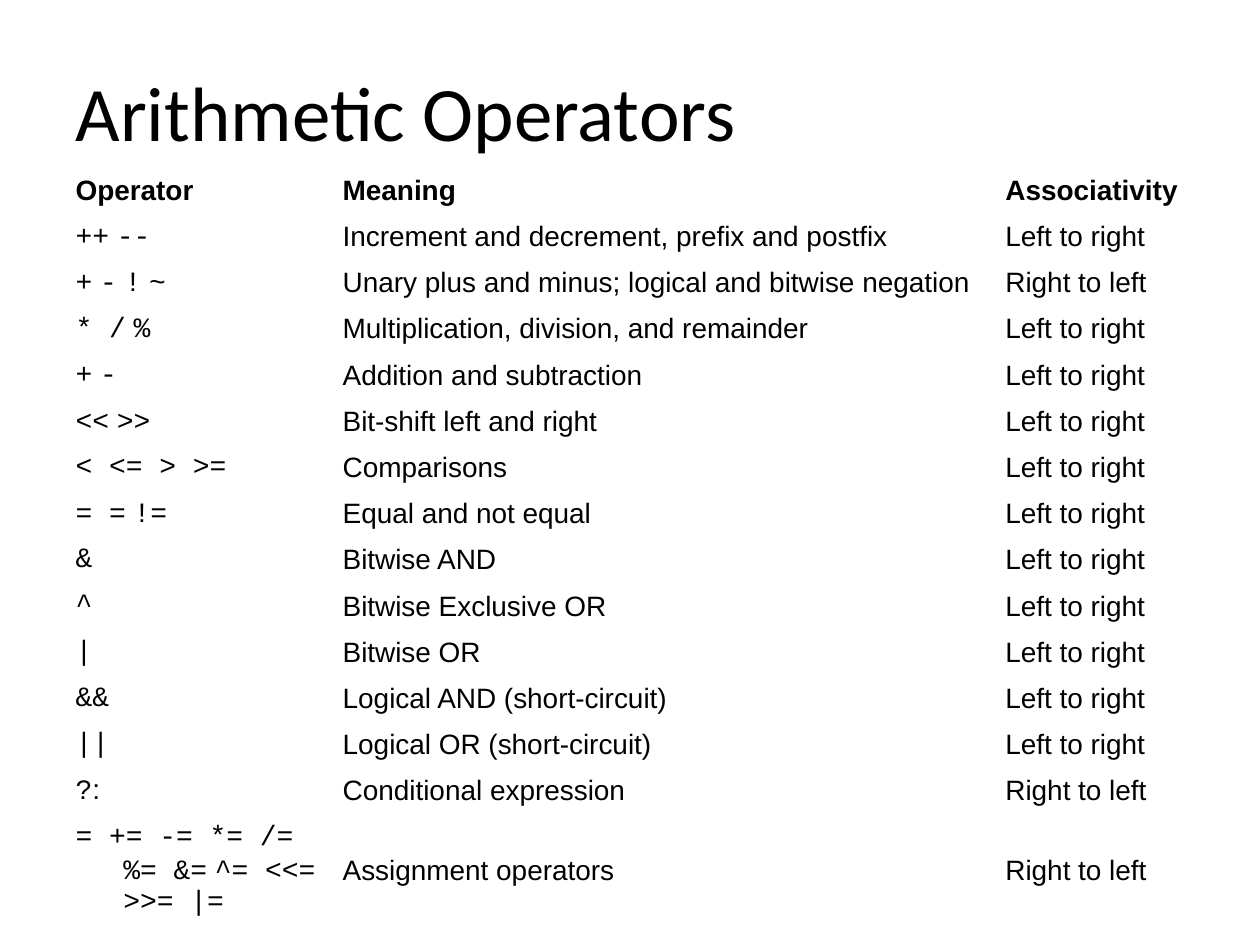
import pptx
import pptx.dml.color
import pptx.enum.text
import pptx.util

# Grid of the slide: 100 columns by 75 rows
SLIDE_WIDTH = pptx.util.Inches(10)
SLIDE_HEIGHT = pptx.util.Inches(7.5)
COLUMN, ROW = SLIDE_WIDTH / 100, SLIDE_HEIGHT / 75

# Boxes as left, top, width, height in grid units
TITLE_BOX = (5, 3, 90, 12.5)
OPERATORS_BOX = (5, 13.3, 90, 60.3)
FIELD_COLUMNS = (21.2, 52.6, 16.2)
ASSIGNMENT_ROWS = 9

BLACK = "000000"
PROSE, CODE = "Arial", "Courier New"
HANGING = pptx.util.Inches(0.38)
LEFT, RIGHT = "Left to right", "Right to left"

HEADINGS = ("Operator", "Meaning", "Associativity")
# Operator pieces alternate between the code font and the prose font
OPERATORS = [
    (("++", " ", "--"), "Increment and decrement, prefix and postfix", LEFT),
    (("+", " ", "-", " ", "!", " ", "~"),
     "Unary plus and minus; logical and bitwise negation", RIGHT),
    (("* /", " ", "%"), "Multiplication, division, and remainder", LEFT),
    (("+", " ", "-"), "Addition and subtraction", LEFT),
    (("<<", " ", ">>"), "Bit-shift left and right", LEFT),
    (("< <= > >=",), "Comparisons", LEFT),
    (("= =", " ", "!="), "Equal and not equal", LEFT),
    (("&",), "Bitwise AND", LEFT),
    (("^",), "Bitwise Exclusive OR", LEFT),
    (("|",), "Bitwise OR", LEFT),
    (("&&",), "Logical AND (short-circuit)", LEFT),
    (("||",), "Logical OR (short-circuit)", LEFT),
    (("?", ":"), "Conditional expression", RIGHT),
    (("= += -= *= /= %= &=", " ", "^= <<= >>= |="),
     "Assignment operators", RIGHT),
]


def colour(hex_string):
    return pptx.dml.color.RGBColor.from_string(hex_string)


def place(box):
    left, top, width, height = box
    return [round(length) for length in
            (left * COLUMN, top * ROW, width * COLUMN, height * ROW)]


def write(paragraph, text, font=PROSE, size=16, bold=False, ink=BLACK):
    run = paragraph.add_run()
    run.text = text
    run.font.name = font
    run.font.size = pptx.util.Pt(size)
    run.font.bold = bold
    run.font.color.rgb = colour(ink)


def add_title(slide, box, text):
    title = slide.shapes.title
    title.left, title.top, title.width, title.height = place(box)
    title.text_frame.vertical_anchor = pptx.enum.text.MSO_ANCHOR.MIDDLE
    heading = title.text_frame.paragraphs[0]
    heading.alignment = pptx.enum.text.PP_ALIGN.LEFT
    heading.line_spacing = 0.9
    write(heading, text, font="Calibri", size=44)


def open_cell(cell):
    """Clear the fill and return the paragraph, with a hanging indent."""
    cell.fill.background()
    cell.vertical_anchor = pptx.enum.text.MSO_ANCHOR.MIDDLE
    paragraph = cell.text_frame.paragraphs[0]
    paragraph.alignment = pptx.enum.text.PP_ALIGN.LEFT
    indents = paragraph._p.get_or_add_pPr()
    indents.set("marL", str(HANGING))
    indents.set("indent", str(-HANGING))
    return paragraph


def add_operator_table(slide, box):
    table = slide.shapes.add_table(
        len(OPERATORS) + 1, len(HEADINGS), *place(box)).table
    table.first_row = table.horz_banding = False

    # Equal rows, with a taller one for the assignment operators
    for field, columns in zip(table.columns, FIELD_COLUMNS):
        field.width = round(columns * COLUMN)
    single_rows = (box[3] - ASSIGNMENT_ROWS) / len(OPERATORS)
    for line in table.rows:
        line.height = round(single_rows * ROW)
    table.rows[len(OPERATORS)].height = round(ASSIGNMENT_ROWS * ROW)

    # Headings
    for index, heading in enumerate(HEADINGS):
        write(open_cell(table.cell(0, index)), heading, bold=True)

    # Operators with their meaning and associativity
    for number, (pieces, meaning, associativity) in enumerate(OPERATORS, 1):
        symbols = open_cell(table.cell(number, 0))
        for position, piece in enumerate(pieces):
            write(symbols, piece, font=PROSE if position % 2 else CODE)
        write(open_cell(table.cell(number, 1)), meaning)
        write(open_cell(table.cell(number, 2)), associativity)


def main():
    deck = pptx.Presentation()
    deck.slide_width, deck.slide_height = SLIDE_WIDTH, SLIDE_HEIGHT
    slide = deck.slides.add_slide(deck.slide_layouts.get_by_name("Title Only"))
    add_title(slide, TITLE_BOX, "Arithmetic Operators")
    add_operator_table(slide, OPERATORS_BOX)
    deck.save("out.pptx")


if __name__ == "__main__":
    main()
